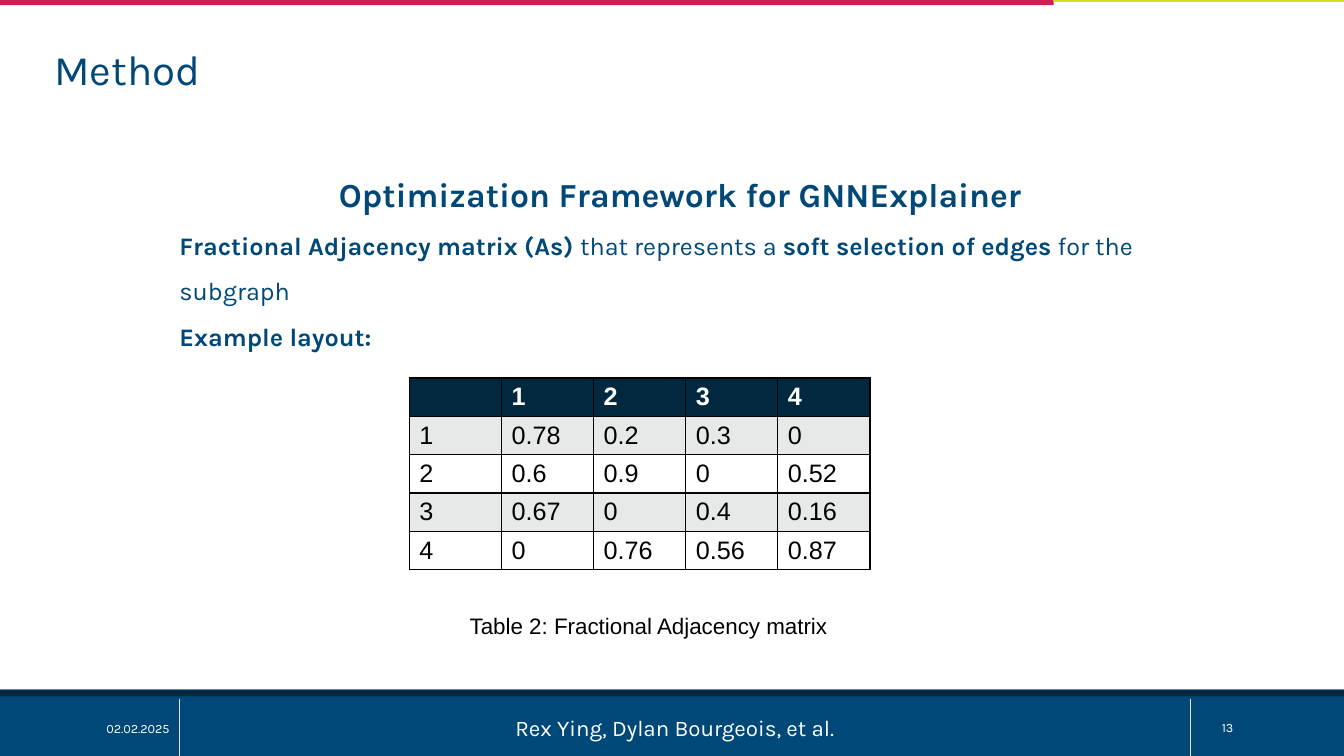
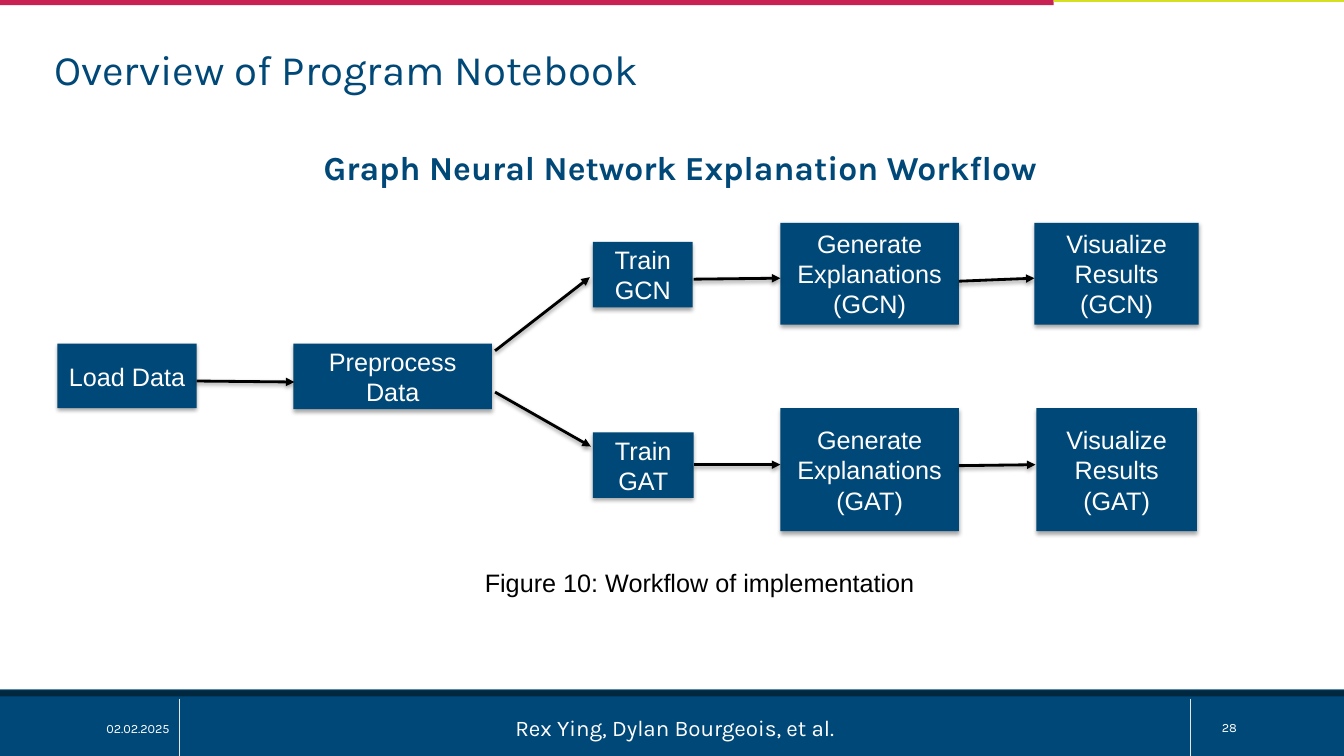
from dataclasses import dataclass

from lxml.etree import SubElement
from pptx import Presentation
from pptx.dml.color import RGBColor
from pptx.enum.shapes import MSO_CONNECTOR, MSO_SHAPE
from pptx.enum.text import MSO_ANCHOR, PP_ALIGN
from pptx.oxml import parse_xml
from pptx.oxml.ns import nsdecls, qn
from pptx.util import Inches, Pt


@dataclass(frozen=True)
class Theme:
    """Colours, fonts and type sizes shared by the slides."""

    blue: str = "004877"
    navy: str = "01283F"
    crimson: str = "C82254"
    lime: str = "D7DF23"
    rule: str = "E6E6E6"
    stripe: str = "E7E8E8"
    white: str = "FFFFFF"
    black: str = "000000"
    heading_font: str = "Karla"
    body_font: str = "Arial"
    title_size: int = 30
    heading_size: int = 24
    text_size: int = 18
    caption_size: int = 16
    small_size: int = 9


THEME = Theme()
AUTHORS = "Rex Ying, Dylan Bourgeois, et al."
DATE = "02.02.2025"

MATRIX = [
    ["", "1", "2", "3", "4"],
    ["1", "0.78", "0.2", "0.3", "0"],
    ["2", "0.6", "0.9", "0", "0.52"],
    ["3", "0.67", "0", "0.4", "0.16"],
    ["4", "0", "0.76", "0.56", "0.87"],
]

STEPS = [
    ("Load Data", 0.57, 3.41, 1.38, 0.64),
    ("Preprocess Data", 2.91, 3.41, 1.97, 0.65),
    ("Train GCN", 5.88, 2.4, 0.99, 0.65),
    ("Train GAT", 5.88, 4.29, 1, 0.65),
    ("Generate Explanations (GCN)", 7.74, 2.21, 1.77, 1.01),
    ("Generate Explanations (GAT)", 7.74, 4.05, 1.77, 1.22),
    ("Visualize Results (GCN)", 10.26, 2.21, 1.63, 1.01),
    ("Visualize Results (GAT)", 10.28, 4.05, 1.59, 1.22),
]

ARROWS = [
    (1.95, 3.78, 2.92, 3.79),
    (4.91, 3.48, 5.85, 2.75),
    (4.91, 3.89, 5.86, 4.43),
    (6.88, 2.77, 7.74, 2.76),
    (6.88, 4.61, 7.74, 4.61),
    (9.51, 2.79, 10.26, 2.76),
    (9.51, 4.62, 10.27, 4.61),
]


def rgb(colour):
    """Return a colour object for a hex string."""
    return RGBColor.from_string(colour)


def style_font(paragraph, size, colour, font, bold=False):
    """Set the font of a whole paragraph."""
    paragraph.font.size = Pt(size)
    paragraph.font.name = font
    paragraph.font.bold = bold
    paragraph.font.color.rgb = rgb(colour)


def set_shadow(shape, distance, opacity):
    """Give a shape or connector a soft shadow that falls straight down."""
    properties = shape._element.spPr
    for effects in properties.findall(qn("a:effectLst")):
        properties.remove(effects)
    properties.append(parse_xml(
        f'<a:effectLst {nsdecls("a")}><a:outerShdw blurRad="{Pt(3.1)}" '
        f'dist="{Pt(distance)}" dir="5400000" rotWithShape="0">'
        f'<a:srgbClr val="{THEME.black}"><a:alpha val="{opacity * 1000}"/>'
        "</a:srgbClr></a:outerShdw></a:effectLst>"))


def add_rectangle(slide, left, top, width, height, colour):
    """Add a plain filled rectangle."""
    shape = slide.shapes.add_shape(
        MSO_SHAPE.RECTANGLE, Inches(left), Inches(top), Inches(width), Inches(height))
    shape.shadow.inherit = False
    shape.fill.solid()
    shape.fill.fore_color.rgb = rgb(colour)
    shape.line.fill.background()
    return shape


def add_line(slide, start_x, start_y, end_x, end_y, colour, width):
    """Add a straight line without a shadow."""
    line = slide.shapes.add_connector(
        MSO_CONNECTOR.STRAIGHT, Inches(start_x), Inches(start_y), Inches(end_x), Inches(end_y))
    line.line.color.rgb = rgb(colour)
    line.line.width = Pt(width)
    SubElement(line._element.spPr, qn("a:effectLst"))
    return line


def add_frame(slide, left, top, width, height, anchor=MSO_ANCHOR.TOP):
    """Add a wrapping text box and return its text frame."""
    box = slide.shapes.add_textbox(Inches(left), Inches(top), Inches(width), Inches(height))
    frame = box.text_frame
    frame.word_wrap = True
    frame.vertical_anchor = anchor
    return frame


def add_label(slide, text, area, size, colour, font=THEME.heading_font,
              align=PP_ALIGN.LEFT, anchor=MSO_ANCHOR.TOP):
    """Add a text box with one evenly styled paragraph."""
    paragraph = add_frame(slide, *area, anchor).paragraphs[0]
    paragraph.text = text
    paragraph.alignment = align
    style_font(paragraph, size, colour, font)


def add_body(slide, top, height, heading, paragraphs=()):
    """Add a centred heading followed by paragraphs of (text, bold) runs."""
    frame = add_frame(slide, 1.78, top, 10.03, height)
    frame.margin_left = 0
    first = frame.paragraphs[0]
    first.text = heading
    first.alignment = PP_ALIGN.CENTER
    style_font(first, THEME.heading_size, THEME.blue, THEME.heading_font, True)
    for runs in paragraphs:
        paragraph = frame.add_paragraph()
        style_font(paragraph, THEME.text_size, THEME.blue, THEME.heading_font)
        for text, bold in runs:
            run = paragraph.add_run()
            run.text = text
            run.font.bold = bold
    for paragraph in frame.paragraphs:
        paragraph.line_spacing = 1.5
        paragraph.space_before = Pt(0.2)


def add_step(slide, text, left, top, width, height):
    """Add a workflow box."""
    shape = add_rectangle(slide, left, top, width, height, THEME.blue)
    set_shadow(shape, 1.8, 35)
    frame = shape.text_frame
    frame.word_wrap = True
    frame.vertical_anchor = MSO_ANCHOR.MIDDLE
    paragraph = frame.paragraphs[0]
    paragraph.text = text
    paragraph.alignment = PP_ALIGN.CENTER
    style_font(paragraph, THEME.text_size, THEME.white, THEME.body_font)


def add_arrow(slide, *ends):
    """Add a workflow arrow."""
    arrow = add_line(slide, *ends, THEME.black, 2)
    SubElement(arrow.line._get_or_add_ln(), qn("a:tailEnd"), type="triangle")
    set_shadow(arrow, 1.6, 38)


def set_borders(cell):
    """Draw a thin black border on every side of a cell."""
    properties = cell._tc.get_or_add_tcPr()
    for position, side in enumerate("LRTB"):
        properties.insert(position, parse_xml(
            f'<a:ln{side} {nsdecls("a")} w="{Pt(1)}"><a:solidFill>'
            f'<a:srgbClr val="{THEME.black}"/></a:solidFill></a:ln{side}>'))


def add_matrix(slide, values, left, top, width, height):
    """Add a bordered table with a dark header and striped rows."""
    table = slide.shapes.add_table(
        len(values), len(values[0]), Inches(left), Inches(top),
        Inches(width), Inches(height)).table
    for row, texts in enumerate(values):
        header = row == 0
        fill = THEME.navy if header else THEME.stripe if row % 2 else THEME.white
        for column, text in enumerate(texts):
            cell = table.cell(row, column)
            cell.margin_bottom = Inches(0.03)
            cell.fill.solid()
            cell.fill.fore_color.rgb = rgb(fill)
            set_borders(cell)
            paragraph = cell.text_frame.paragraphs[0]
            paragraph.text = text
            style_font(paragraph, THEME.text_size,
                       THEME.white if header else THEME.black, THEME.body_font, header)


def add_base_slide(presentation, title, number):
    """Add a slide with the shared bands, title and footer."""
    slide = presentation.slides.add_slide(presentation.slide_layouts[6])
    add_rectangle(slide, -0.01, 6.84, 13.35, 0.66, THEME.blue)
    for left in (1.78, 11.81):
        add_line(slide, left, 6.93, left, 7.5, THEME.rule, 0.5)
    add_rectangle(slide, 0, 6.85, 13.35, 0.06, THEME.navy)
    add_rectangle(slide, 0, 0, 10.45, 0.05, THEME.crimson)
    add_rectangle(slide, 10.45, 0, 2.89, 0.02, THEME.lime)
    add_label(slide, title, (0.44, 0.38, 9.7, 0.75), THEME.title_size, THEME.blue)
    footers = [
        (AUTHORS, (1.78, 7.02, 9.83, 0.4), THEME.caption_size, PP_ALIGN.CENTER),
        (str(number), (12.02, 7.02, 1.31, 0.4), THEME.small_size, PP_ALIGN.LEFT),
        (DATE, (0.44, 7.03, 1.34, 0.39), THEME.small_size, PP_ALIGN.RIGHT),
    ]
    for text, area, size, align in footers:
        add_label(slide, text, area, size, THEME.white, align=align, anchor=MSO_ANCHOR.MIDDLE)
    return slide


def add_method_slide(presentation):
    """Add the slide with the fractional adjacency matrix."""
    slide = add_base_slide(presentation, "Method", 13)
    add_body(slide, 1.48, 4.92, "Optimization Framework for GNNExplainer", [
        [("Fractional Adjacency matrix (As) ", True), ("that represents a ", False),
         ("soft selection of edges", True), (" for the subgraph", False)],
        [("Example layout:", True)],
    ])
    add_matrix(slide, MATRIX, 4.06, 3.75, 4.57, 1.9)
    add_label(slide, "Table 2: Fractional Adjacency matrix", (4.56, 6.02, 4.82, 0.37),
              THEME.caption_size, THEME.black, THEME.body_font)


def add_workflow_slide(presentation):
    """Add the slide with the workflow diagram."""
    slide = add_base_slide(presentation, "Overview of Program Notebook", 28)
    add_body(slide, 1.21, 4.96, "Graph Neural Network Explanation Workflow")
    for step in STEPS:
        add_step(slide, *step)
    for arrow in ARROWS:
        add_arrow(slide, *arrow)
    add_label(slide, "Figure 10: Workflow of implementation", (4.71, 5.58, 6.21, 0.4),
              THEME.text_size, THEME.black, THEME.body_font)


def main():
    """Build and save the presentation."""
    presentation = Presentation()
    presentation.slide_width = Inches(13.33)
    presentation.slide_height = Inches(7.5)
    add_method_slide(presentation)
    add_workflow_slide(presentation)
    presentation.save("out.pptx")


if __name__ == "__main__":
    main()
